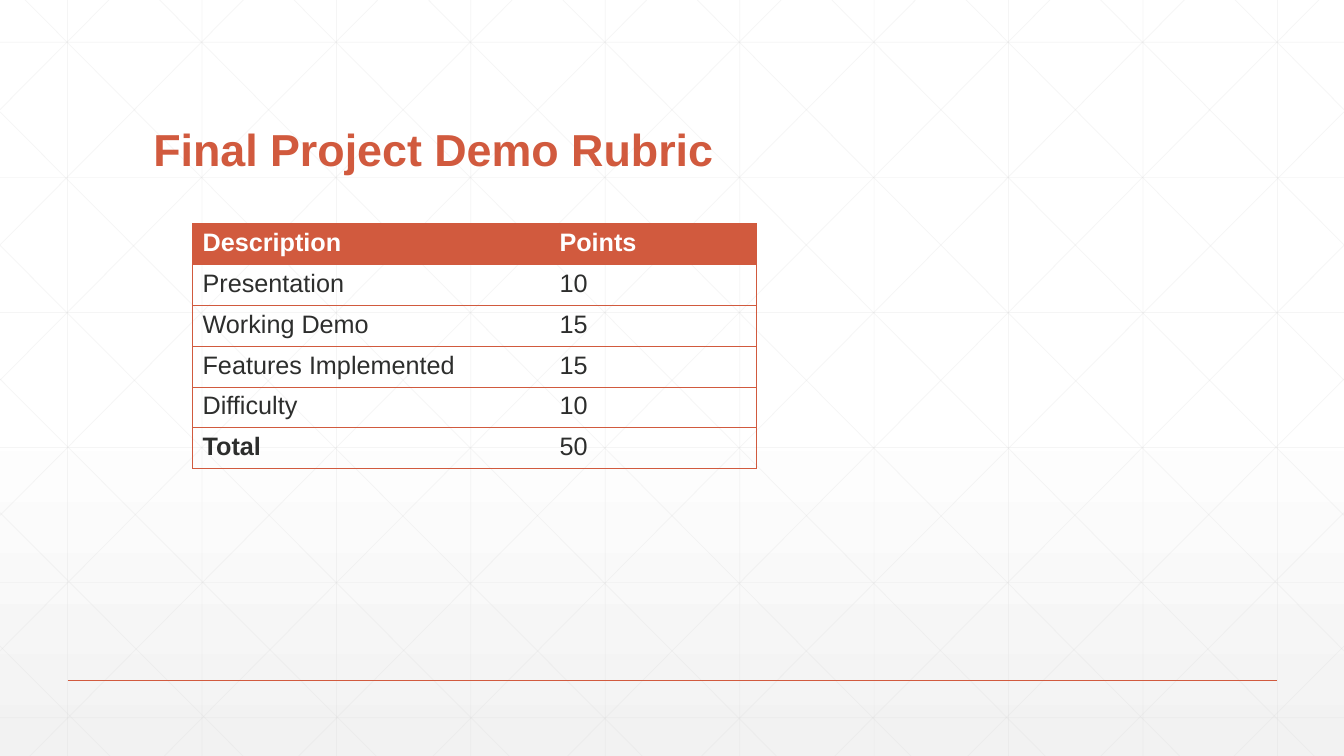
from pptx import Presentation
from pptx import util as u
from pptx.dml.color import RGBColor
from pptx.enum import shapes, text
from pptx.oxml import parse_xml
from pptx.oxml.ns import nsdecls, qn

WIDTH, HEIGHT = 13.33, 7.5
ACCENT = RGBColor(0xD1, 0x5A, 0x3E)
INK = RGBColor(0x2D, 0x2E, 0x2D)
WHITE = RGBColor(0xFF, 0xFF, 0xFF)
MIST = RGBColor(0xF2, 0xF2, 0xF2)
GRID = RGBColor(0xD9, 0xD9, 0xD9)
PLAIN_TABLE = "{2D5ABB26-0587-4C30-8999-92F81FD0307C}"

RUBRIC = [
    ("Description", "Points"),
    ("Presentation", "10"),
    ("Working Demo", "15"),
    ("Features Implemented", "15"),
    ("Difficulty", "10"),
    ("Total", "50"),
]


class RubricPage:
    font = "Arial"

    def __init__(self, deck):
        self.page = deck.slides.add_slide(deck.slide_layouts[5])

    def background(self, stops, angle):
        self.page.background.fill.gradient()
        gradient = self.page.element.find(".//" + qn("a:gradFill"))
        for child in list(gradient):
            gradient.remove(child)
        marks = "".join(
            f'<a:gs pos="{percent * 1000}"><a:srgbClr val="{color}"/></a:gs>'
            for percent, color in stops)
        gradient.append(parse_xml(f'<a:gsLst {nsdecls("a")}>{marks}</a:gsLst>'))
        gradient.append(parse_xml(
            f'<a:lin {nsdecls("a")} ang="{angle * 60000}" scaled="0"/>'))

    def line(self, start, end, color, weight, opacity=100):
        points = [u.Inches(value) for value in (*start, *end)]
        connector = self.page.shapes.add_connector(
            shapes.MSO_CONNECTOR.STRAIGHT, *points)
        connector.line.color.rgb = color
        connector.line.width = u.Pt(weight)
        properties = connector.element.spPr
        properties.append(parse_xml(f'<a:effectLst {nsdecls("a")}/>'))
        if opacity < 100:
            properties.find(".//" + qn("a:srgbClr")).append(parse_xml(
                f'<a:alpha {nsdecls("a")} val="{opacity * 1000}"/>'))

    def grid_line(self, start, end):
        self.line(start, end, GRID, 0.5, opacity=25)

    def mirrored_grid_line(self, start, end):
        self.grid_line(start, end)
        self.grid_line((WIDTH - start[0], start[1]), (WIDTH - end[0], end[1]))

    def add_span(self, para, words, size, color, bold):
        span = para.add_run()
        span.text = words
        span.font.name = self.font
        span.font.size = u.Pt(size)
        span.font.color.rgb = color
        span.font.bold = bold

    def title(self, words, left, top, width, height):
        box = self.page.shapes.title
        box.left, box.top = u.Inches(left), u.Inches(top)
        box.width, box.height = u.Inches(width), u.Inches(height)
        frame = box.text_frame
        frame.word_wrap = True
        frame.auto_size = text.MSO_AUTO_SIZE.NONE
        frame.vertical_anchor = text.MSO_ANCHOR.BOTTOM
        para = frame.paragraphs[0]
        para.alignment = text.PP_ALIGN.LEFT
        para.line_spacing = 0.9
        self.add_span(para, words, 32, ACCENT, True)
        # Bring the title in front of the grid
        self.page.shapes.element.append(box.element)

    def border(self, cell, sides):
        for side in sides:
            cell._tc.get_or_add_tcPr().append(parse_xml(
                f'<a:ln{side} {nsdecls("a")} w="{u.Pt(0.5)}"><a:solidFill>'
                f'<a:srgbClr val="{ACCENT}"/></a:solidFill></a:ln{side}>'))

    def table(self, rows, left, top, widths, row_height):
        frame = self.page.shapes.add_table(
            len(rows), len(widths), u.Inches(left), u.Inches(top),
            u.Inches(sum(widths)), u.Inches(row_height * len(rows)))
        table = frame.table
        table.horz_banding = False
        frame.element.find(".//" + qn("a:tableStyleId")).text = PLAIN_TABLE
        for column, width in zip(table.columns, widths):
            column.width = u.Inches(width)
        for r, row in enumerate(rows):
            table.rows[r].height = u.Inches(row_height)
            for c, words in enumerate(row):
                cell = table.cell(r, c)
                self.border(cell, ("L", "T", "B") if c == 0 else ("R", "T", "B"))
                header = r == 0
                if header:
                    cell.fill.solid()
                    cell.fill.fore_color.rgb = ACCENT
                else:
                    cell.fill.background()
                self.add_span(cell.text_frame.paragraphs[0], words, 18,
                              WHITE if header else INK,
                              header or words == "Total")


def draw_grid(page):
    pitch = 4 / 3
    # Upright and level lines
    for i in range(10):
        x = 0.67 + i * pitch
        page.grid_line((x, 0), (x, HEIGHT))
    for i in range(6):
        y = 0.42 + i * 1.34
        page.grid_line((0, y), (WIDTH, y))
    # Diagonals from the top edge, cut at the side of the slide
    run = 7.45
    for i in range(10):
        x = 0.25 + i * pitch
        end_x = min(x + run, WIDTH)
        page.mirrored_grid_line((x, 0), (end_x, (end_x - x) * HEIGHT / run))
    # Diagonals from the side edges down to the bottom
    for i in range(5):
        page.mirrored_grid_line((0, 1.11 + i * 1.325), (6.37 - i * 1.32, HEIGHT))


def main():
    deck = Presentation()
    deck.slide_width, deck.slide_height = u.Inches(WIDTH), u.Inches(HEIGHT)
    page = RubricPage(deck)

    # Backdrop
    page.background([(0, WHITE), (53, WHITE), (100, MIST)], angle=90)
    draw_grid(page)
    page.line((0.67, 6.75), (12.67, 6.75), ACCENT, 1)

    # Content
    page.title("Final Project Demo Rubric", 1.42, 0.55, 10.5, 1.25)
    page.table(RUBRIC, 1.91, 2.22, widths=(3.54, 2.05), row_height=0.405)

    deck.save("out.pptx")


if __name__ == "__main__":
    main()
